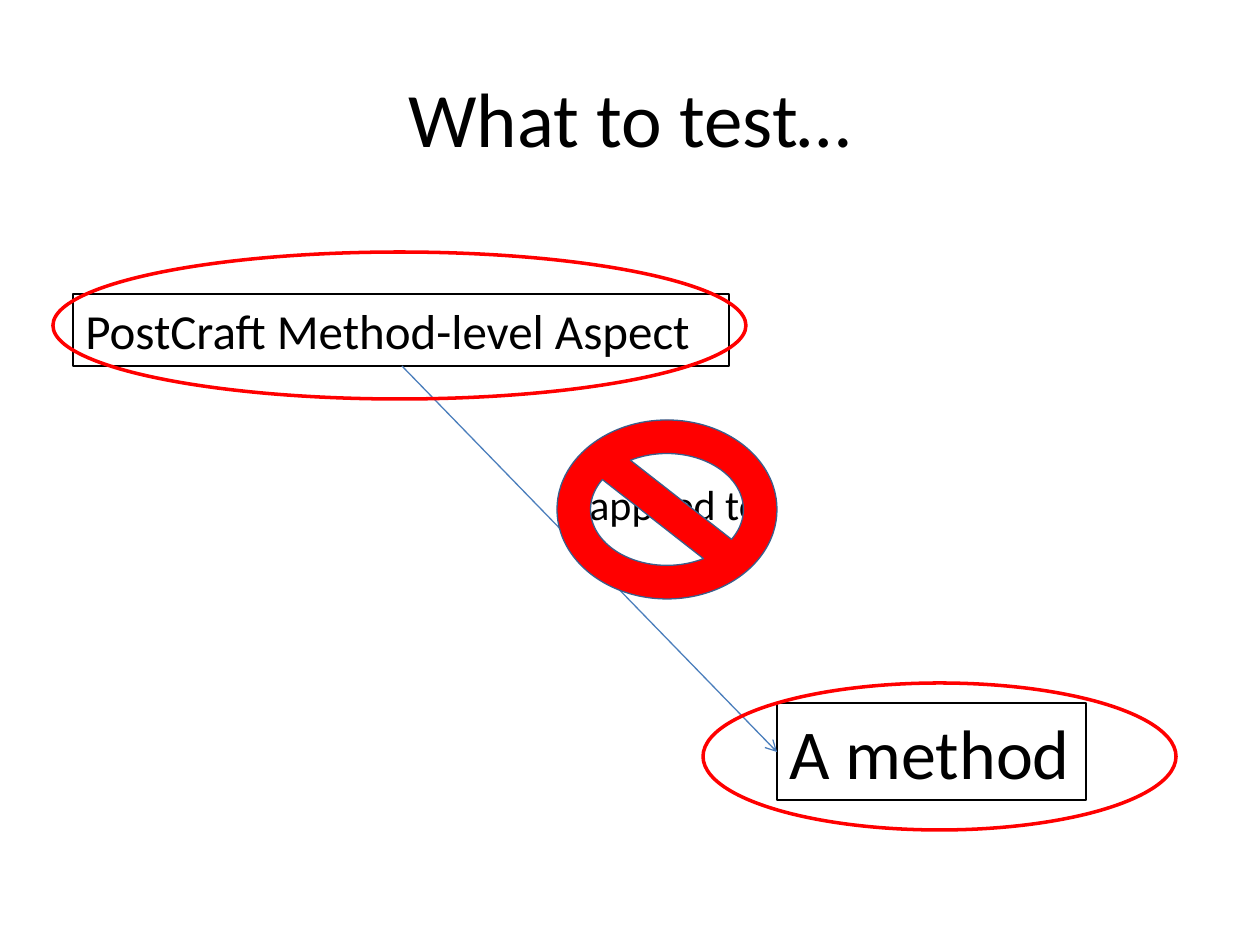
from pptx import Presentation, util as u
from pptx.dml.color import RGBColor
from pptx.enum import shapes, text
from pptx.oxml.ns import qn
from lxml import etree

# Content: lengths in pixels, 126 to the inch
TITLE = ("What to test…", (63, 38, 1134, 157), 44)
LABELS = [  # text, box, size, outlined
    ("PostCraft Method-level Aspect", (73, 294, 656, 72), 28, True),
    ("A method", (777, 703, 309, 97), 40, True),
    ("applied to", (577, 472, 199, 63), 24, False),
]
ARROW = (402, 366, 777, 752)
RINGS = [(53, 252, 693, 147), (703, 683, 473, 147)]
NO_SIGN = (557, 420, 220, 179)
BLACK, RED, BLUE, NAVY = "000000", "FF0000", "4B7EBC", "3A5F8C"


def px(lengths):
    return [u.Emu(round(v * 914400 / 126)) for v in lengths]


def color(hex_value):
    return RGBColor.from_string(hex_value)


def set_line(shape, hex_value, width):
    shape.line.color.rgb = color(hex_value)
    shape.line.width = u.Pt(width)


def set_text(tf, words, size):
    tf.text = words
    font = tf.paragraphs[0].runs[0].font
    font.name, font.size = "Calibri", u.Pt(size)
    font.color.rgb = color(BLACK)


def add_mark(kind, box, hex_value, width):
    sp = s.shapes.add_shape(kind, *px(box))
    sp.shadow.inherit = False
    sp.fill.background()
    set_line(sp, hex_value, width)
    return sp


prs = Presentation()
prs.slide_width, prs.slide_height = u.Inches(10), u.Inches(7.5)
s = prs.slides.add_slide(prs.slide_layouts[5])

# Title
words, box, size = TITLE
title = s.shapes.title
title.left, title.top, title.width, title.height = px(box)
set_text(title.text_frame, words, size)
title.text_frame.vertical_anchor = text.MSO_ANCHOR.MIDDLE
title.text_frame.paragraphs[0].alignment = text.PP_ALIGN.CENTER

# Labels
for words, box, size, outlined in LABELS:
    sp = s.shapes.add_textbox(*px(box))
    set_text(sp.text_frame, words, size)
    sp.text_frame.word_wrap = False
    sp.text_frame.auto_size = text.MSO_AUTO_SIZE.SHAPE_TO_FIT_TEXT
    if outlined:
        set_line(sp, BLACK, 0.75)

# Arrow from aspect to method
arrow = s.shapes.add_connector(shapes.MSO_CONNECTOR.STRAIGHT, *px(ARROW))
set_line(arrow, BLUE, 0.75)
etree.SubElement(arrow.line._get_or_add_ln(), qn("a:tailEnd"), type="arrow")
etree.SubElement(arrow._element.spPr, qn("a:effectLst"))

# Rings and the no sign over the label
for box in RINGS:
    add_mark(shapes.MSO_SHAPE.OVAL, box, RED, 2)
sign = add_mark(shapes.MSO_SHAPE.NO_SYMBOL, NO_SIGN, NAVY, 0)
sign.fill.solid()
sign.fill.fore_color.rgb = color(RED)

prs.save("out.pptx")
